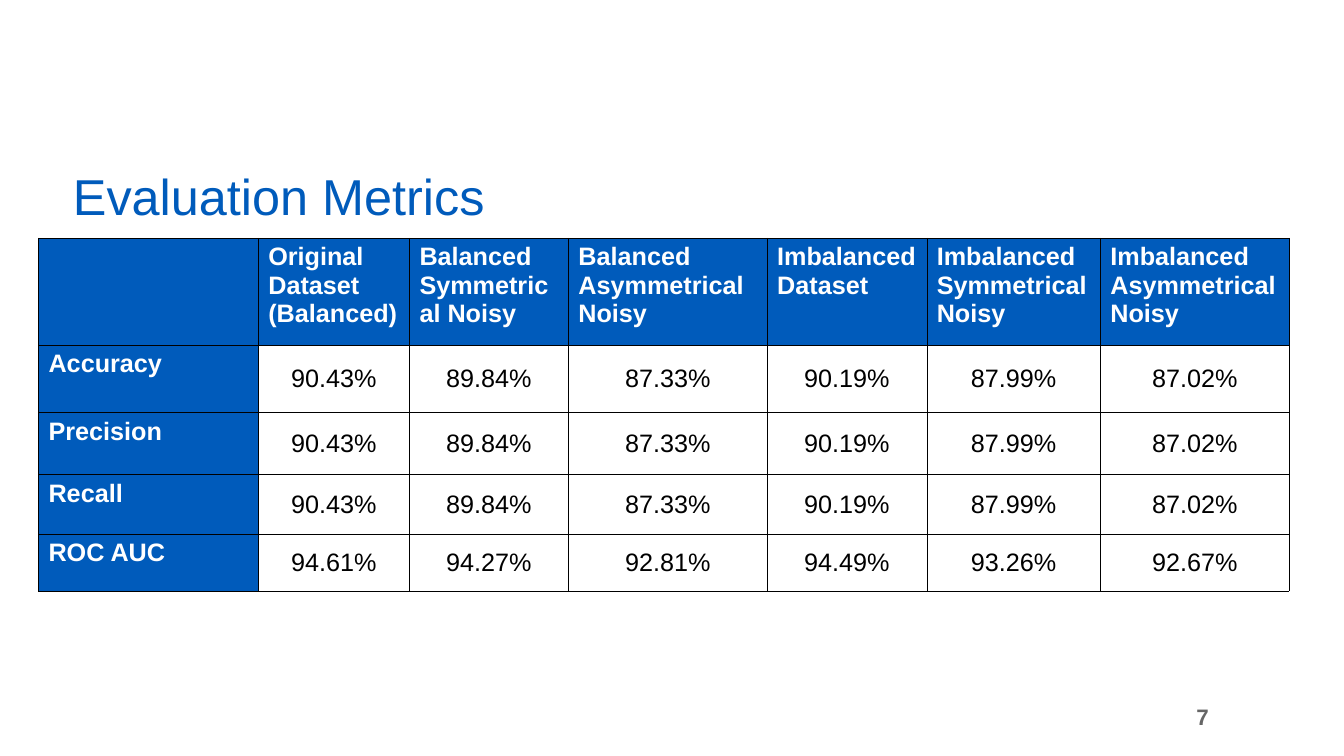
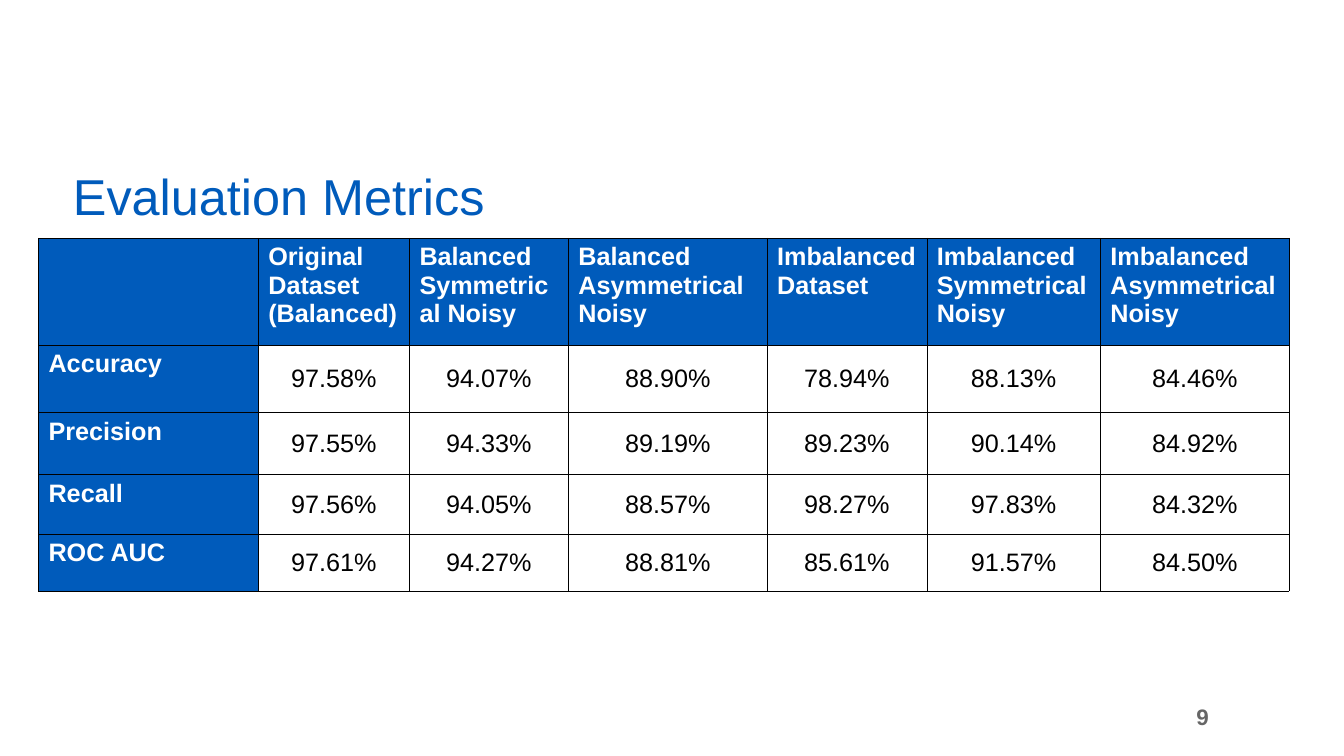
"""Build two evaluation-metrics slides, each with a title, a table and a page number."""
import dataclasses

import lxml.etree
import pptx
import pptx.dml.color
import pptx.enum.text
import pptx.oxml.ns
import pptx.util

Pt = pptx.util.Pt
ALIGN = pptx.enum.text.PP_ALIGN
ANCHOR = pptx.enum.text.MSO_ANCHOR


@dataclasses.dataclass(frozen=True)
class Theme:
    font: str = "Arial"
    blue: str = "005BBB"
    white: str = "FFFFFF"
    black: str = "000000"
    gray: str = "666666"
    title_size: float = 36
    table_size: float = 18
    number_size: float = 16
    border_width: float = 0.06


THEME = Theme()


def write_text(frame, text, *, size, color, bold=False, align=ALIGN.LEFT, anchor=ANCHOR.TOP, spacing=1.0):
    frame.word_wrap = True
    frame.vertical_anchor = anchor
    paragraph = frame.paragraphs[0]
    paragraph.alignment = align
    paragraph.line_spacing = spacing
    run = paragraph.add_run()
    run.text = text
    run.font.name = THEME.font
    run.font.size = Pt(size)
    run.font.bold = bold
    run.font.color.rgb = pptx.dml.color.RGBColor.from_string(color)


def style_cell(cell, fill):
    properties = cell._tc.get_or_add_tcPr()
    for side in ("lnL", "lnR", "lnT", "lnB"):
        line = lxml.etree.SubElement(
            properties, pptx.oxml.ns.qn(f"a:{side}"), w=str(Pt(THEME.border_width))
        )
        solid = lxml.etree.SubElement(line, pptx.oxml.ns.qn("a:solidFill"))
        lxml.etree.SubElement(solid, pptx.oxml.ns.qn("a:srgbClr"), val=THEME.black)
    cell.fill.solid()
    cell.fill.fore_color.rgb = pptx.dml.color.RGBColor.from_string(fill)


HEADERS = [
    "",
    "Original Dataset (Balanced)",
    "Balanced Symmetrical Noisy",
    "Balanced Asymmetrical Noisy",
    "Imbalanced Dataset",
    "Imbalanced Symmetrical Noisy",
    "Imbalanced Asymmetrical Noisy",
]
METRICS = ["Accuracy", "Precision", "Recall", "ROC AUC"]
COLUMN_WIDTHS = [157, 108, 113.5, 142, 114, 124, 135]
ROW_HEIGHTS = [76.5, 48, 44.5, 42.5, 41]

SHARED_SCORES = [90.43, 89.84, 87.33, 90.19, 87.99, 87.02]
SCORES_BY_PAGE = {
    7: [SHARED_SCORES] * 3 + [[94.61, 94.27, 92.81, 94.49, 93.26, 92.67]],
    9: [
        [97.58, 94.07, 88.90, 78.94, 88.13, 84.46],
        [97.55, 94.33, 89.19, 89.23, 90.14, 84.92],
        [97.56, 94.05, 88.57, 98.27, 97.83, 84.32],
        [97.61, 94.27, 88.81, 85.61, 91.57, 84.50],
    ],
}

presentation = pptx.Presentation()
presentation.slide_width = Pt(960)
presentation.slide_height = Pt(540)
blank_layout = presentation.slide_layouts[6]

for page_number, scores in SCORES_BY_PAGE.items():
    slide = presentation.slides.add_slide(blank_layout)

    number_box = slide.shapes.add_textbox(Pt(546.5), Pt(497.5), Pt(324), Pt(29))
    write_text(number_box.text_frame, str(page_number), size=THEME.number_size, color=THEME.gray,
               bold=True, align=ALIGN.RIGHT, anchor=ANCHOR.MIDDLE)

    title_box = slide.shapes.add_textbox(Pt(45), Pt(118), Pt(547), Pt(47))
    write_text(title_box.text_frame, "Evaluation Metrics", size=THEME.title_size, color=THEME.blue,
               anchor=ANCHOR.BOTTOM, spacing=0.9)

    table = slide.shapes.add_table(
        len(ROW_HEIGHTS), len(COLUMN_WIDTHS),
        Pt(27.5), Pt(170), Pt(sum(COLUMN_WIDTHS)), Pt(sum(ROW_HEIGHTS)),
    ).table
    for column, width in zip(table.columns, COLUMN_WIDTHS):
        column.width = Pt(width)
    for row, height in zip(table.rows, ROW_HEIGHTS):
        row.height = Pt(height)

    rows = [HEADERS]
    for metric, values in zip(METRICS, scores):
        rows.append([metric] + [f"{value:.2f}%" for value in values])

    for row_index, texts in enumerate(rows):
        for column_index, text in enumerate(texts):
            cell = table.cell(row_index, column_index)
            is_heading = row_index == 0 or column_index == 0
            style_cell(cell, THEME.blue if is_heading else THEME.white)
            write_text(
                cell.text_frame, text, size=THEME.table_size, bold=is_heading,
                color=THEME.white if is_heading else THEME.black,
                align=ALIGN.LEFT if is_heading else ALIGN.CENTER,
            )
            cell.vertical_anchor = ANCHOR.TOP if is_heading else ANCHOR.MIDDLE

presentation.save("out.pptx")
